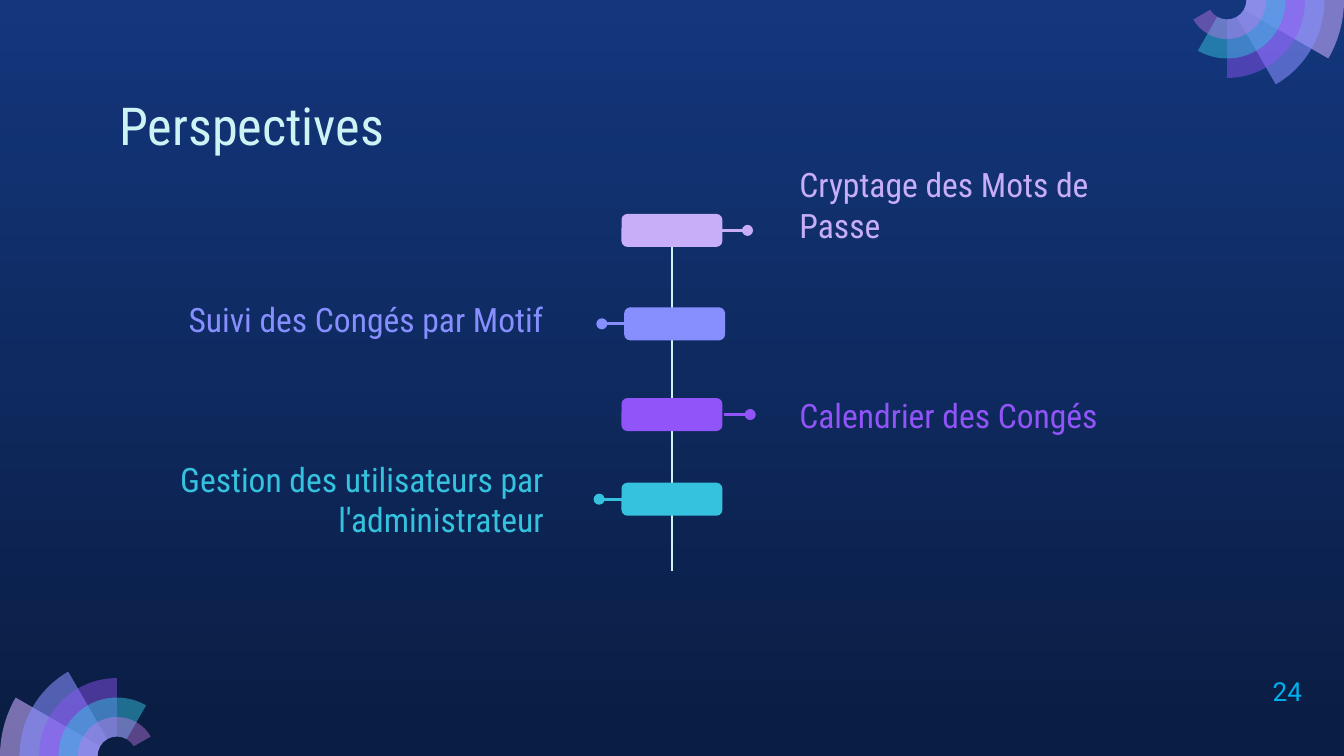
import math
from dataclasses import dataclass

from lxml import etree
from pptx import Presentation
from pptx.dml.color import RGBColor
from pptx.enum import shapes, text
from pptx.oxml.ns import qn
from pptx.util import Inches, Pt

# Grid: 100 columns by 56.25 rows of square cells
WIDTH, HEIGHT = Inches(10), Inches(5.625)
COLUMNS, ROWS = 100, 56.25
CELL = WIDTH / COLUMNS

COLORS = {
    "top": "13367C", "bottom": "0A1D42", "pale": "CEF3F5", "page": "00B0F0",
    "lilac": "C8AEF8", "blue": "878FFF", "violet": "9154F8", "teal": "35C2DF",
    "fan_lilac": "C8ACFD", "fan_pink": "CA7BEB",
}
HEADING_FONT, PAGE_FONT = "Roboto Condensed", "Roboto"

# Rings from the outside in: colour, opacity in percent
RINGS = [("fan_lilac", 58), ("blue", 58), ("violet", 46), ("teal", 49), ("fan_pink", 42)]


@dataclass
class Box:
    left: float
    top: float
    width: float
    height: float


@dataclass
class Step:
    label: str
    color: str
    side: int  # 1: label on the right, -1: on the left
    top: float  # bar top, in rows below the timeline's top
    shift: float  # bar offset, in columns
    gap: float  # from the bar's edge to the pin, in columns
    drop: float  # from the bar's top to the label's bottom, in rows
    width: float
    height: float = 4.3


STEPS = [
    Step("Cryptage des Mots de Passe", "lilac", 1, 0, 0, 0, 3.25, 29.8),
    Step("Suivi des Congés par Motif", "blue", -1, 6.95, 0.2, 0.2, 3.3, 28.6),
    Step("Calendrier des Congés", "violet", 1, 13.7, 0, 0.2, 3.75, 27.7),
    Step("Gestion des utilisateurs par l'administrateur", "teal", -1, 20, 0, 0.2, 5.15, 38.1, 8.6),
]


def cells(*values):
    return [round(value * CELL) for value in values]


def rgb(name):
    return RGBColor.from_string(COLORS[name])


def add_text(slide, box, wording, color, size, font, align=text.PP_ALIGN.LEFT,
             anchor=text.MSO_ANCHOR.TOP, inset=0.1):
    shape = slide.shapes.add_textbox(*cells(box.left, box.top, box.width, box.height))
    frame = shape.text_frame
    frame.word_wrap = True
    frame.vertical_anchor = anchor
    frame.margin_left = frame.margin_right = Inches(0.1)
    frame.margin_top = frame.margin_bottom = Inches(inset)
    frame.text = wording
    paragraph = frame.paragraphs[0]
    paragraph.alignment = align
    run_font = paragraph.runs[0].font
    run_font.name, run_font.size = font, Pt(size)
    run_font.color.rgb = rgb(color)


def add_line(slide, start, end, color, dot=False):
    line = slide.shapes.add_connector(shapes.MSO_CONNECTOR.STRAIGHT, *cells(*start, *end))
    line.line.color.rgb = rgb(color)
    line.line.width = Pt(1.5)
    if dot:
        etree.SubElement(line.line._get_or_add_ln(), qn("a:tailEnd"), type="oval")
    etree.SubElement(line._element.spPr, qn("a:effectLst"))


def add_background(slide):
    fill = slide.background.fill
    fill.gradient()
    fill.gradient_angle = 270
    for stop, name in zip(fill.gradient_stops, ("top", "bottom")):
        stop.color.rgb = rgb(name)
    fill.gradient_stops[0].position, fill.gradient_stops[1].position = 0, 1


def bend(edge, radius, start, end):
    """Turn a straight outline edge into an arc between two angles in degrees."""
    size = str(round(radius * CELL))
    arc = etree.Element(qn("a:arcTo"), wR=size, hR=size, stAng=str(start % 360 * 60000),
                        swAng=str((end - start) * 60000))
    edge.getparent().replace(edge, arc)


def add_fan(slide, box, center, start):
    """Draw ring sectors, each 30 degrees longer than the one outside it."""
    center_x, center_y = box.left + center[0], box.top + center[1]
    band = 8.7 / 6
    for index, (color, opacity) in enumerate(RINGS):
        # Corners, with a stop at the quarter turn in sectors that pass it
        sweep = 30 * (index + 1)
        angles = [start + turn for turn in sorted({0, min(sweep, 90), sweep})]
        corners = [(band * (6 - index), angle) for angle in angles]
        corners += [(band, angle) for angle in reversed(angles)]
        points = [cells(center_x + radius * math.cos(math.radians(angle)),
                        center_y + radius * math.sin(math.radians(angle)))
                  for radius, angle in corners]
        builder = slide.shapes.build_freeform(*points[0])
        builder.add_line_segments(points[1:])
        sector = builder.convert_to_shape()
        edges = list(sector._element.iter(qn("a:lnTo")))
        for edge, (radius, angle), (next_radius, next_angle) in zip(edges, corners, corners[1:]):
            if radius == next_radius:
                bend(edge, radius, angle, next_angle)

        # Transparent fill
        sector.shadow.inherit = False
        sector.line.fill.background()
        sector.fill.solid()
        sector.fill.fore_color.rgb = rgb(color)
        tint = sector.fill._xPr.find(qn("a:solidFill"))[0]
        etree.SubElement(tint, qn("a:alpha"), val=str(opacity * 1000))


def add_step(slide, box, step):
    # Bar
    left, top = box.left + step.shift, box.top + step.top
    bar_height = 2.35
    bar = slide.shapes.add_shape(shapes.MSO_SHAPE.ROUNDED_RECTANGLE,
                                 *cells(left, top, box.width, bar_height))
    bar.shadow.inherit = False
    bar.fill.solid()
    bar.fill.fore_color.rgb = bar.line.color.rgb = rgb(step.color)
    bar.line.width = Pt(0.75)

    # Pin
    on_right = step.side == 1
    pin_x = left + step.gap + (box.width if on_right else 0)
    pin_y = top + bar_height / 2
    add_line(slide, (pin_x, pin_y), (pin_x + 1.92 * step.side, pin_y), step.color, dot=True)

    # Label
    label_left = box.left + box.width + 4.8 if on_right else box.left - 4.85 - step.width
    label = Box(label_left, top + step.drop - step.height, step.width, step.height)
    align = text.PP_ALIGN.LEFT if on_right else text.PP_ALIGN.RIGHT
    add_text(slide, label, step.label, step.color, 18, HEADING_FONT, align, text.MSO_ANCHOR.BOTTOM)


def add_timeline(slide, box):
    middle = box.left + box.width / 2
    add_line(slide, (middle, box.top), (middle, box.top + box.height), "pale")
    for step in STEPS:
        add_step(slide, box, step)


def main():
    presentation = Presentation()
    presentation.slide_width, presentation.slide_height = WIDTH, HEIGHT
    slide = presentation.slides.add_slide(presentation.slide_layouts[6])

    # Background and corner fans
    add_background(slide)
    add_fan(slide, Box(0, ROWS - 6.3, 11.2, 6.3), (8.7, 6.3), 180)
    add_fan(slide, Box(COLUMNS - 11.2, 0, 11.2, 6.3), (2.5, 0), 0)

    # Title, timeline and page number
    add_text(slide, Box(7.9, 5.95, 84.3, 6.3), "Perspectives", "pale", 28, HEADING_FONT)
    add_timeline(slide, Box(46.3, 15.97, 7.4, 26.5))
    add_text(slide, Box(93.7, 49.8, 4.5, 3.4), "24", "page", 14, PAGE_FONT, inset=0.05)

    presentation.save("out.pptx")


if __name__ == "__main__":
    main()
